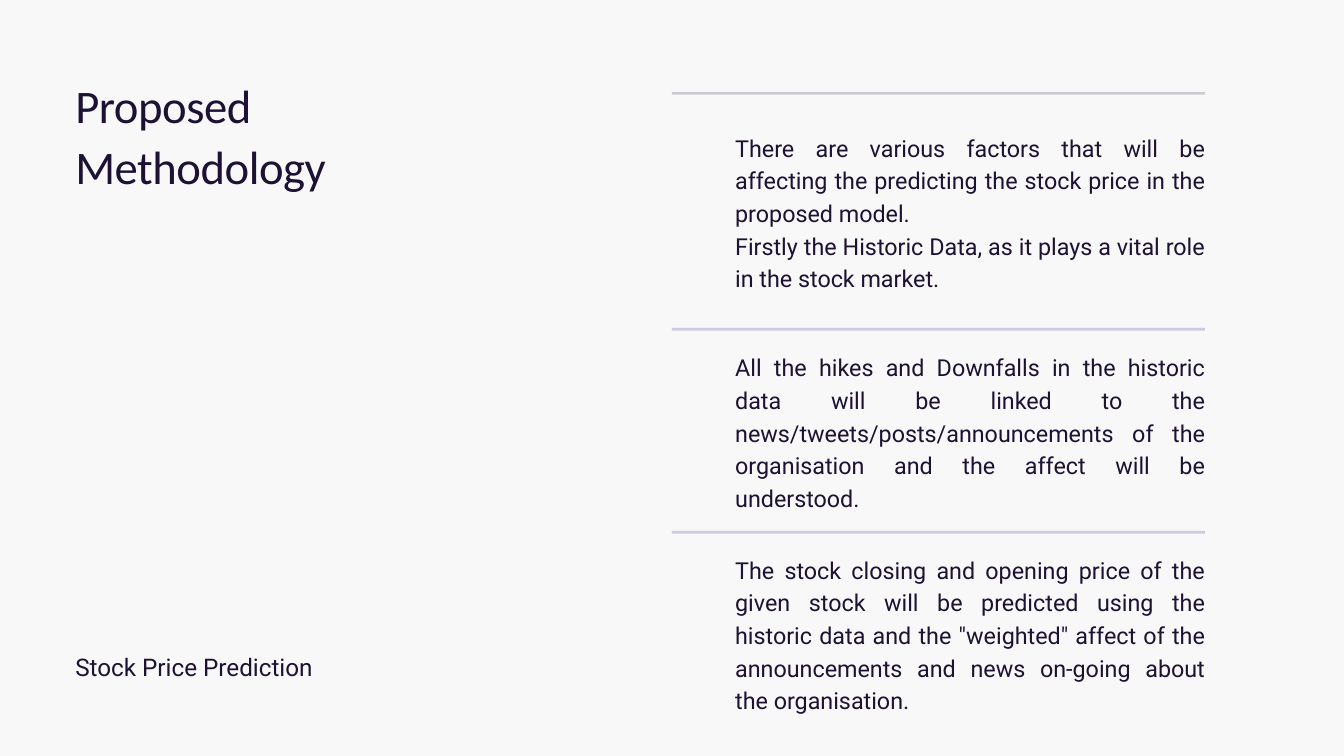
from pptx import Presentation
from pptx.dml.color import RGBColor
from pptx.enum.shapes import MSO_SHAPE
from pptx.enum.text import MSO_ANCHOR, MSO_AUTO_SIZE, PP_ALIGN
from pptx.oxml.ns import qn
from pptx.util import Inches, Pt
from lxml.etree import SubElement

PAPER = RGBColor(0xF8, 0xF8, 0xF8)
INK = RGBColor(0x1D, 0x12, 0x33)
BLUE = RGBColor(0x23, 0x12, 0x79)

# Columns of the page, in inches
LEFT, LEFT_W = 1.12, 6.02
RULE, RULE_W = 10, 7.93
BODY, BODY_W = 10.94, 6.99


def write(shape, lines, font, size, pitch, align=PP_ALIGN.LEFT, track=0):
    frame = shape.text_frame
    frame.word_wrap = True
    frame.auto_size = MSO_AUTO_SIZE.NONE
    frame.vertical_anchor = MSO_ANCHOR.TOP
    frame.margin_left = frame.margin_right = 0
    frame.margin_top = frame.margin_bottom = 0
    for i, line in enumerate(lines):
        para = frame.paragraphs[0] if i == 0 else frame.add_paragraph()
        para.alignment = align
        para.line_spacing = Pt(pitch)
        para.space_before = Pt(0)
        run = para.add_run()
        run.text = line
        run.font.name = font
        run.font.size = Pt(size)
        run.font.color.rgb = INK
        if track:
            run.font._element.set("spc", str(track))


deck = Presentation()
deck.slide_width, deck.slide_height = Inches(20), Inches(11.25)
slide = deck.slides.add_slide(deck.slide_layouts[5])
slide.background.fill.solid()
slide.background.fill.fore_color.rgb = PAPER

# Title
title = slide.shapes.title
title.left, title.top = Inches(LEFT), Inches(1.08)
title.width, title.height = Inches(LEFT_W), Inches(1.78)
write(title, ["Proposed", "Methodology"], "Calibri", 50, 65, track=-50)

# Topic at the foot
topic = slide.shapes.add_textbox(
    Inches(LEFT), Inches(9.64), Inches(LEFT_W), Inches(0.49))
write(topic, ["Stock Price Prediction"], "Roboto", 26, 36.4)

# Steps: top of rule, rule colour, top of text, text
steps = [
    (1.37, INK, 1.92, [
        "There are various factors that will be affecting the predicting "
        "the stock price in the proposed model.",
        "Firstly the Historic Data, as it plays a vital role in the stock "
        "market."]),
    (4.88, BLUE, 5.19, [
        "All the hikes and Downfalls in the historic data will be linked to "
        "the news/tweets/posts/announcements of the organisation and the "
        "affect will be understood."]),
    (7.9, BLUE, 8.2, [
        "The stock closing and opening price of the given stock will be "
        "predicted using the historic data and the \"weighted\" affect of "
        "the announcements and news on-going about the organisation."]),
]
for rule_top, color, top, lines in steps:
    rule = slide.shapes.add_shape(
        MSO_SHAPE.RECTANGLE,
        Inches(RULE), Inches(rule_top), Inches(RULE_W), Inches(0.04))
    rule.shadow.inherit = False
    rule.line.fill.background()
    rule.fill.solid()
    rule.fill.fore_color.rgb = color
    # Let the rule show at 20 % strength
    tint = rule._element.spPr.find(qn("a:solidFill"))[0]
    SubElement(tint, qn("a:alpha")).set("val", "20000")

    box = slide.shapes.add_textbox(
        Inches(BODY), Inches(top), Inches(BODY_W), Inches(2.4))
    write(box, lines, "Roboto", 25, 35, PP_ALIGN.JUSTIFY)

deck.save("out.pptx")
